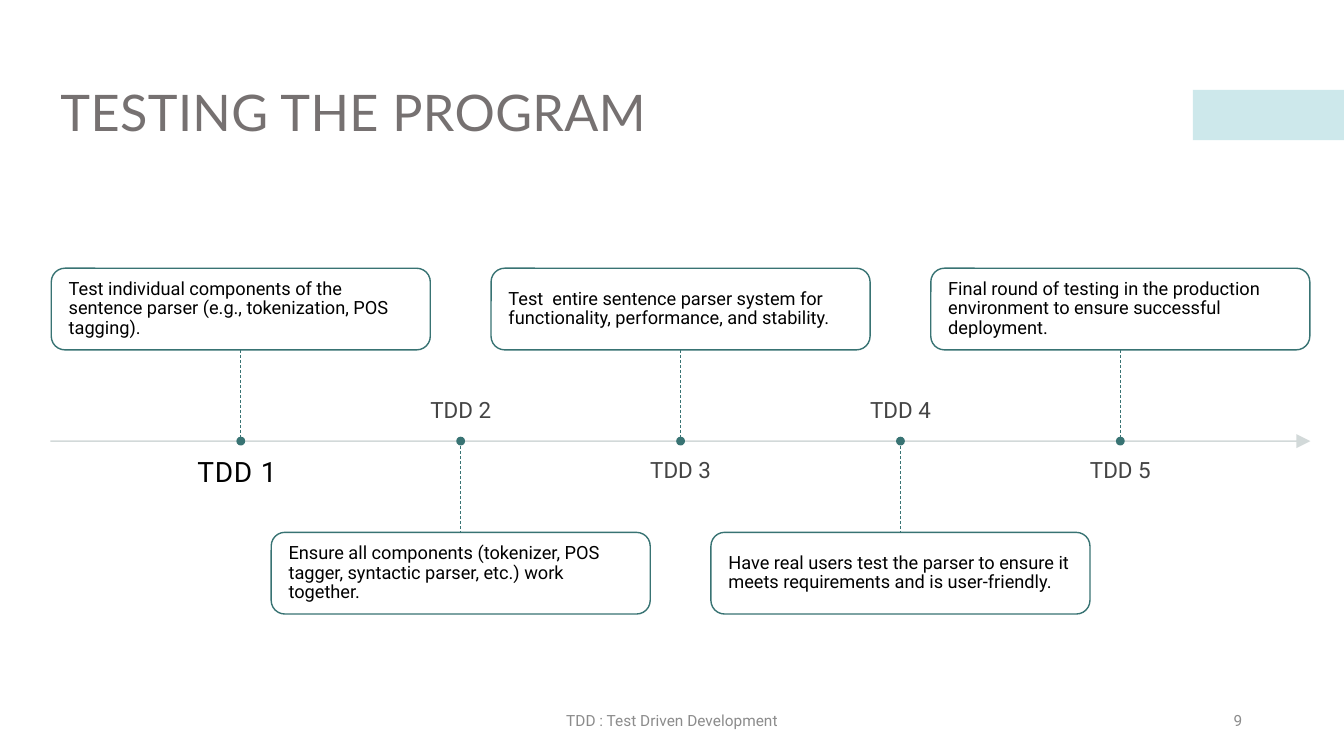
from lxml.etree import SubElement
from pptx import Presentation
from pptx.dml.color import RGBColor
from pptx.enum.dml import MSO_LINE
from pptx.enum.shapes import MSO_CONNECTOR, MSO_SHAPE
from pptx.enum.text import MSO_ANCHOR, PP_ALIGN
from pptx.oxml.ns import qn
from pptx.util import Inches, Pt

TEAL = RGBColor(0x38, 0x73, 0x73)
AQUA = RGBColor(0x9C, 0xD3, 0xD9)
MIST = RGBColor(0xCE, 0xD5, 0xD5)
WHITE = RGBColor(0xFF, 0xFF, 0xFF)
BLACK = RGBColor(0, 0, 0)
INK = RGBColor(0x44, 0x44, 0x44)
STONE = RGBColor(0x76, 0x71, 0x71)
GREY = RGBColor(0x8C, 0x8C, 0x8C)

STEPS = [
    "Test individual components of the sentence parser (e.g., tokenization, POS tagging).",
    "Ensure all components (tokenizer, POS tagger, syntactic parser, etc.) work together.",
    "Test  entire sentence parser system for functionality, performance, and stability.",
    "Have real users test the parser to ensure it meets requirements and is user-friendly.",
    "Final round of testing in the production environment to ensure successful deployment.",
]

AXIS = 58.35
FIRST, PITCH = 17.92, 16.36
CARD_W, CARD_H = 28.2, 10.8
STEM = 12.07
TAG_W, TAG_H, TAG_GAP = 24.83, 7.2, 2.33
DOT_W, DOT_H = 0.55, 0.98


def write(frame, text, size=13, color=BLACK, font="Roboto", align=PP_ALIGN.LEFT,
          anchor=MSO_ANCHOR.MIDDLE, inset=None, lead=0.9, track=0):
    frame.word_wrap = True
    frame.vertical_anchor = anchor
    if inset is not None:
        frame.margin_left = frame.margin_right = inset
        frame.margin_top = frame.margin_bottom = inset
    para = frame.paragraphs[0]
    para.alignment, para.line_spacing = align, lead
    run = para.add_run()
    run.text = text
    run.font.name, run.font.size = font, Pt(size)
    run.font.color.rgb = color
    if track:
        run.font._element.set("spc", str(round(track * 100)))


def fade(part, share):
    for tint in part.iter(qn("a:srgbClr")):
        SubElement(tint, qn("a:alpha"), val=str(share * 1000))


class Deck:
    def __init__(self):
        self.file = Presentation()
        self.file.slide_width, self.file.slide_height = Inches(13.33), Inches(7.5)
        self.slide = self.file.slides.add_slide(self.file.slide_layouts[5])
        self.shapes = self.slide.shapes

    def wide(self, share):
        return round(self.file.slide_width * share / 100)

    def high(self, share):
        return round(self.file.slide_height * share / 100)

    def place(self, left, top, width, height):
        return self.wide(left), self.high(top), self.wide(width), self.high(height)

    def title(self, text, *area):
        box = self.shapes.title
        box.left, box.top, box.width, box.height = self.place(*area)
        write(box.text_frame, text, size=36, color=STONE, font="Lato", track=0.3)

    def shape(self, kind, *area, fill, line=None, alpha=100):
        item = self.shapes.add_shape(kind, *self.place(*area))
        item.shadow.inherit = False
        item.fill.solid()
        item.fill.fore_color.rgb = fill
        if alpha < 100:
            fade(item.element.spPr, alpha)
        if line is None:
            item.line.fill.background()
        else:
            item.line.color.rgb = line
            item.line.width = Pt(1)
        return item

    def card(self, text, *area):
        box = self.shape(MSO_SHAPE.ROUNDED_RECTANGLE, *area, fill=WHITE, line=TEAL, alpha=90)
        write(box.text_frame, text, inset=self.wide(1))

    def label(self, text, *area, **style):
        write(self.shapes.add_textbox(*self.place(*area)).text_frame, text, **style)

    def line(self, left, top, right, base, color, width, dash=None, arrow=False):
        item = self.shapes.add_connector(
            MSO_CONNECTOR.STRAIGHT,
            self.wide(left), self.high(top), self.wide(right), self.high(base))
        item.line.color.rgb = color
        item.line.width = Pt(width)
        if dash:
            item.line.dash_style = dash
        if arrow:
            edge = item.line._get_or_add_ln()
            fade(edge, 90)
            SubElement(edge, qn("a:tailEnd"), type="triangle", w="lg", len="lg")
        SubElement(item.element.spPr, qn("a:effectLst"))

    def step(self, order, text):
        mid = FIRST + order * PITCH
        above = order % 2 == 0
        edge = AXIS - STEM if above else AXIS + STEM
        top = edge - CARD_H if above else edge
        self.card(text, mid - CARD_W / 2, top, CARD_W, CARD_H)
        self.line(mid, min(edge, AXIS), mid, max(edge, AXIS), TEAL, 0.5, MSO_LINE.DASH)
        head = order == 0
        self.label(
            "TDD 1 " if head else f"TDD {order + 1}",
            mid - TAG_W / 2, AXIS + TAG_GAP if above else AXIS - TAG_GAP - TAG_H, TAG_W, TAG_H,
            size=20 if head else 16, color=BLACK if head else INK, track=0.5 if head else 0,
            align=PP_ALIGN.CENTER, inset=0,
            anchor=MSO_ANCHOR.TOP if above else MSO_ANCHOR.BOTTOM)
        self.shape(MSO_SHAPE.OVAL, mid - DOT_W / 2, AXIS - DOT_H / 2, DOT_W, DOT_H,
                   fill=TEAL, line=TEAL)


def main():
    deck = Deck()
    deck.shape(MSO_SHAPE.RECTANGLE, 88.75, 11.9, 11.25, 6.65, fill=AQUA, alpha=50)
    deck.title("TESTING THE PROGRAM", 3.75, 5.6, 92.5, 19.33)
    deck.line(3.75, AXIS, 97.5, AXIS, MIST, 1, arrow=True)
    for order, text in enumerate(STEPS):
        deck.step(order, text)
    deck.label("TDD : Test Driven Development", 33.13, 92.67, 33.75, 5.33,
               size=11, color=GREY, lead=1, align=PP_ALIGN.CENTER)
    deck.label("9", 70.67, 92.67, 22.5, 5.33,
               size=11, color=GREY, lead=1, align=PP_ALIGN.RIGHT)
    deck.file.save("out.pptx")


if __name__ == "__main__":
    main()
